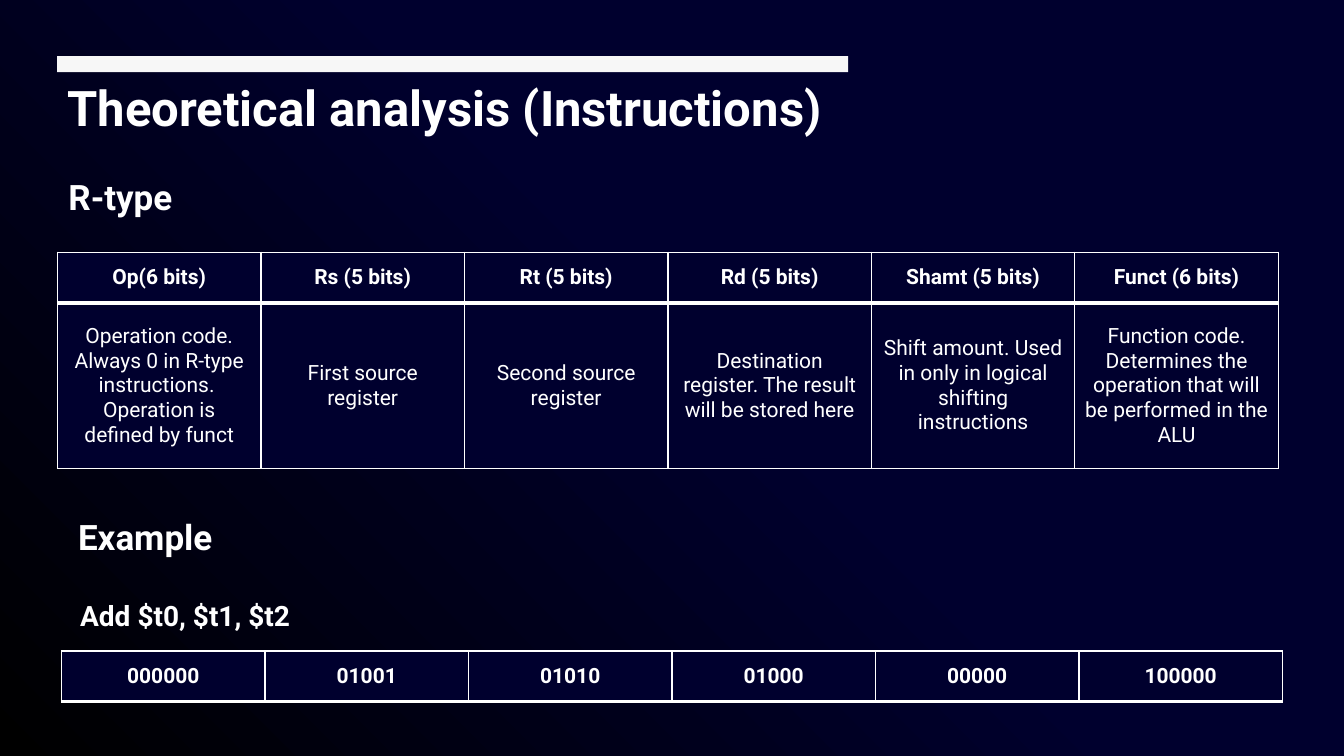
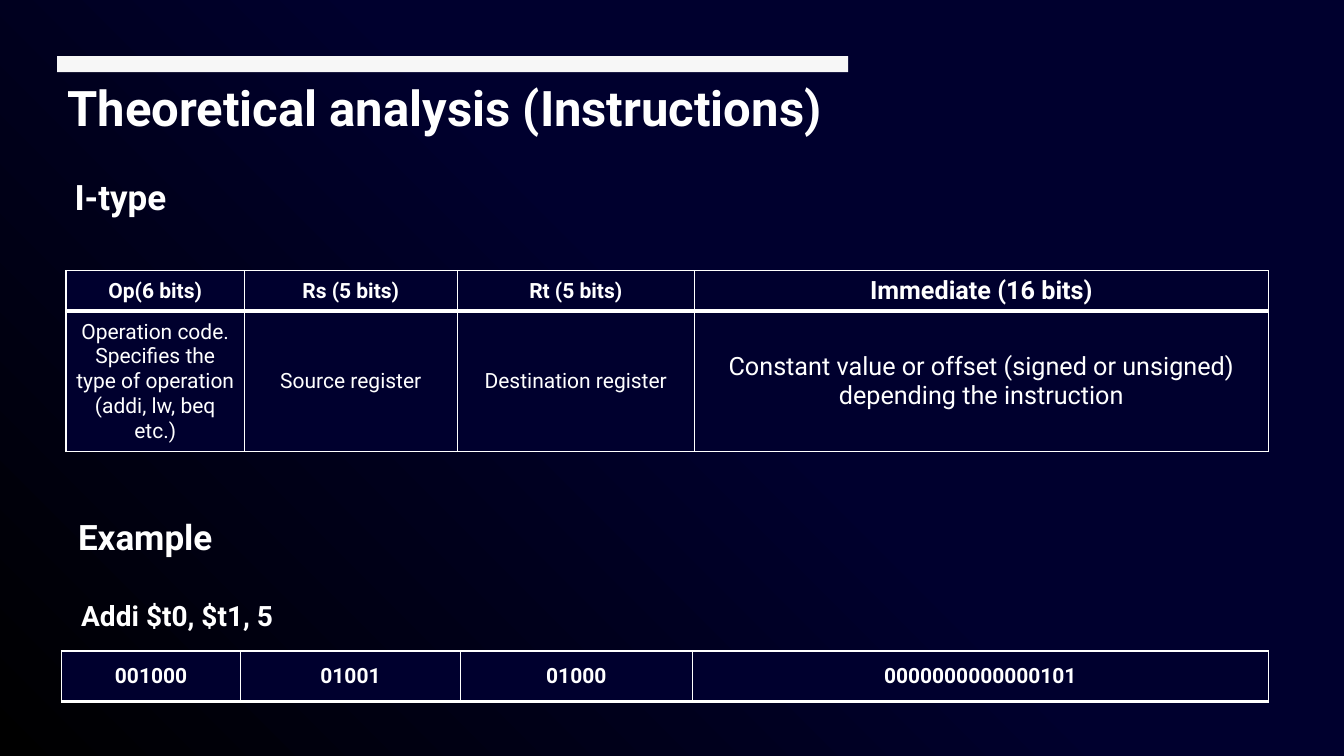
"""Build two slides on the R-type and I-type instruction formats."""
from dataclasses import dataclass
from itertools import product

from lxml.etree import SubElement
from pptx import Presentation
from pptx.dml.color import RGBColor
from pptx.enum.shapes import MSO_SHAPE as Shape
from pptx.enum.text import MSO_ANCHOR as Anchor, PP_ALIGN as Align
from pptx.oxml import parse_xml
from pptx.oxml.ns import nsdecls, qn
from pptx.util import Pt


@dataclass(frozen=True)
class Theme:
    font: str = "Roboto"
    navy: str = "00002E"
    black: str = "000000"
    white: str = "FFFFFF"
    bar: str = "F7F7F7"
    title: float = 35
    heading: float = 25
    code: float = 20
    cell: float = 15
    wide_cell: float = 18
    thin: float = 1
    thick: float = 3


@dataclass(frozen=True)
class Box:
    left: float
    top: float
    width: float
    height: float

    def emu(self) -> tuple:
        return tuple(map(Pt, (self.left, self.top, self.width, self.height)))


@dataclass(frozen=True)
class Label:
    text: str
    box: Box
    size: float
    side_inset: float = 5.4
    align: Align = Align.CENTER


@dataclass(frozen=True)
class Grid:
    left: float
    top: float
    widths: tuple
    heights: tuple
    rows: tuple
    sizes: tuple


@dataclass(frozen=True)
class Format:
    name: str
    code: str
    code_width: float
    fields: Grid
    example: Grid


T = Theme()
PAGE = Box(0, 0, 960, 540)
BAR = Box(40.8, 40.1, 565, 11.5)
TITLE = Label("Theoretical analysis (Instructions)", Box(41, 51.8, 565.2, 58.3), T.title, 7.2, Align.LEFT)
EXAMPLE = Label("Example", Box(44, 364.5, 119.5, 28.8), T.heading)
EXAMPLE_LEFT, EXAMPLE_TOP, EXAMPLE_HEIGHT = 44, 465, 36
SIX_EQUAL = (145.35,) * 6
SIX_SIZES = (T.cell,) * 6
I_SIZES = (T.cell,) * 3 + (T.wide_cell,)

FORMATS = (
    Format(
        "R-type", "Add $t0, $t1, $t2", 170.6,
        Grid(41.1, 180.2, SIX_EQUAL, (36, 118.6), (
            ("Op(6 bits)", "Rs (5 bits)", "Rt (5 bits)", "Rd (5 bits)", "Shamt (5 bits)", "Funct (6 bits)"),
            ("Operation code. Always 0 in R-type instructions. \nOperation is defined by funct",
             "First source register",
             "Second source register",
             "Destination register. The result will be stored here",
             "Shift amount. Used in only in logical shifting instructions",
             "Function code. Determines the operation that will be performed in the ALU"),
        ), SIX_SIZES),
        Grid(EXAMPLE_LEFT, EXAMPLE_TOP, SIX_EQUAL, (EXAMPLE_HEIGHT,),
             (("000000", "01001", "01010", "01000", "00000", "100000"),), SIX_SIZES),
    ),
    Format(
        "I-type", "Addi $t0, $t1, 5", 159.1,
        Grid(47.2, 193.5, (127.4, 152, 169.4, 410), (28.3, 100.4), (
            ("Op(6 bits)", "Rs (5 bits)", "Rt (5 bits)", "Immediate (16 bits)"),
            ("Operation code. Specifies the type of operation (addi, lw, beq etc.)",
             "Source register",
             "Destination register",
             "Constant value or offset (signed or unsigned) depending the instruction"),
        ), I_SIZES),
        Grid(EXAMPLE_LEFT, EXAMPLE_TOP, (127.9, 157, 165.6, 411.7), (EXAMPLE_HEIGHT,),
             (("001000", "01001", "01000", "0000000000000101"),), (T.cell,) * 4),
    ),
)


def apply_glow(fill, element) -> None:
    """Fill an element with a radial gradient centred on its top right corner."""
    fill.gradient()
    old = next(element.iter(qn("a:gradFill")))
    stops = ((0, T.navy), (46, T.navy), (100, T.black))
    stop_xml = "".join(
        f'<a:gs pos="{pos * 1000}"><a:srgbClr val="{color}"/></a:gs>' for pos, color in stops
    )
    new = parse_xml(
        f'<a:gradFill {nsdecls("a")} rotWithShape="0"><a:gsLst>{stop_xml}</a:gsLst>'
        '<a:path path="circle"><a:fillToRect l="100000" b="100000"/></a:path></a:gradFill>'
    )
    old.getparent().replace(old, new)


def style_text(tf, size: float, bold: bool, align: Align) -> None:
    """Format every run of a text frame."""
    tf.word_wrap = True
    for p in tf.paragraphs:
        p.alignment = align
        for r in p.runs:
            r.font.name = T.font
            r.font.size = Pt(size)
            r.font.bold = bold
            r.font.color.rgb = RGBColor.from_string(T.white)


def add_label(s, label: Label) -> None:
    """Add a bold white text box."""
    tf = s.shapes.add_textbox(*label.box.emu()).text_frame
    tf.margin_left = tf.margin_right = Pt(label.side_inset)
    tf.text = label.text
    style_text(tf, label.size, True, label.align)


def add_rectangle(s, box: Box):
    """Add a rectangle without line or shadow."""
    sp = s.shapes.add_shape(Shape.RECTANGLE, *box.emu())
    sp.shadow.inherit = False
    sp.line.fill.background()
    return sp


def add_frame(s) -> None:
    """Add the backdrop and the pale band above the title."""
    backdrop = add_rectangle(s, PAGE)
    apply_glow(backdrop.fill, backdrop.element)
    bar = add_rectangle(s, BAR)
    bar.fill.solid()
    bar.fill.fore_color.rgb = RGBColor.from_string(T.bar)


def set_borders(cell, top: float, bottom: float) -> None:
    """Draw white cell borders, placed ahead of the cell fill."""
    tc_pr = cell._tc.get_or_add_tcPr()
    sides = (("L", T.thin), ("R", T.thin), ("T", top), ("B", bottom))
    for i, (side, width) in enumerate(sides):
        ln = SubElement(tc_pr, qn(f"a:ln{side}"), w=str(Pt(width)))
        fill = SubElement(ln, qn("a:solidFill"))
        SubElement(fill, qn("a:srgbClr"), val=T.white)
        tc_pr.insert(i, ln)


def add_grid(s, grid: Grid) -> None:
    """Add a table whose first row is bold with a thick rule below."""
    box = Box(grid.left, grid.top, sum(grid.widths), sum(grid.heights))
    n_rows, n_cols = len(grid.heights), len(grid.widths)
    table = s.shapes.add_table(n_rows, n_cols, *box.emu()).table
    table.first_row = table.horz_banding = False
    for column, width in zip(table.columns, grid.widths):
        column.width = Pt(width)
    for row, height in zip(table.rows, grid.heights):
        row.height = Pt(height)
    for i, j in product(range(n_rows), range(n_cols)):
        cell, header = table.cell(i, j), i == 0
        cell.text_frame.text = grid.rows[i][j]
        style_text(cell.text_frame, grid.sizes[j], header, Align.CENTER)
        cell.vertical_anchor = Anchor.MIDDLE
        cell.fill.solid()
        cell.fill.fore_color.rgb = RGBColor.from_string(T.navy)
        set_borders(cell, *((T.thin, T.thick) if header else (T.thick, T.thin)))


def add_format_slide(prs, fmt: Format) -> None:
    """Add one instruction format with its example."""
    s = prs.slides.add_slide(prs.slide_layouts[6])
    add_frame(s)
    labels = (
        TITLE,
        Label(fmt.name, Box(41, 121.8, 90, 28.8), T.heading),
        EXAMPLE,
        Label(fmt.code, Box(47, 424, fmt.code_width, 28.8), T.code),
    )
    for label in labels:
        add_label(s, label)
    add_grid(s, fmt.fields)
    add_grid(s, fmt.example)


def main() -> None:
    """Build and save the presentation."""
    prs = Presentation()
    prs.slide_width, prs.slide_height = Pt(PAGE.width), Pt(PAGE.height)
    master = prs.slide_master
    apply_glow(master.background.fill, master.element)
    for fmt in FORMATS:
        add_format_slide(prs, fmt)
    prs.save("out.pptx")


if __name__ == "__main__":
    main()
